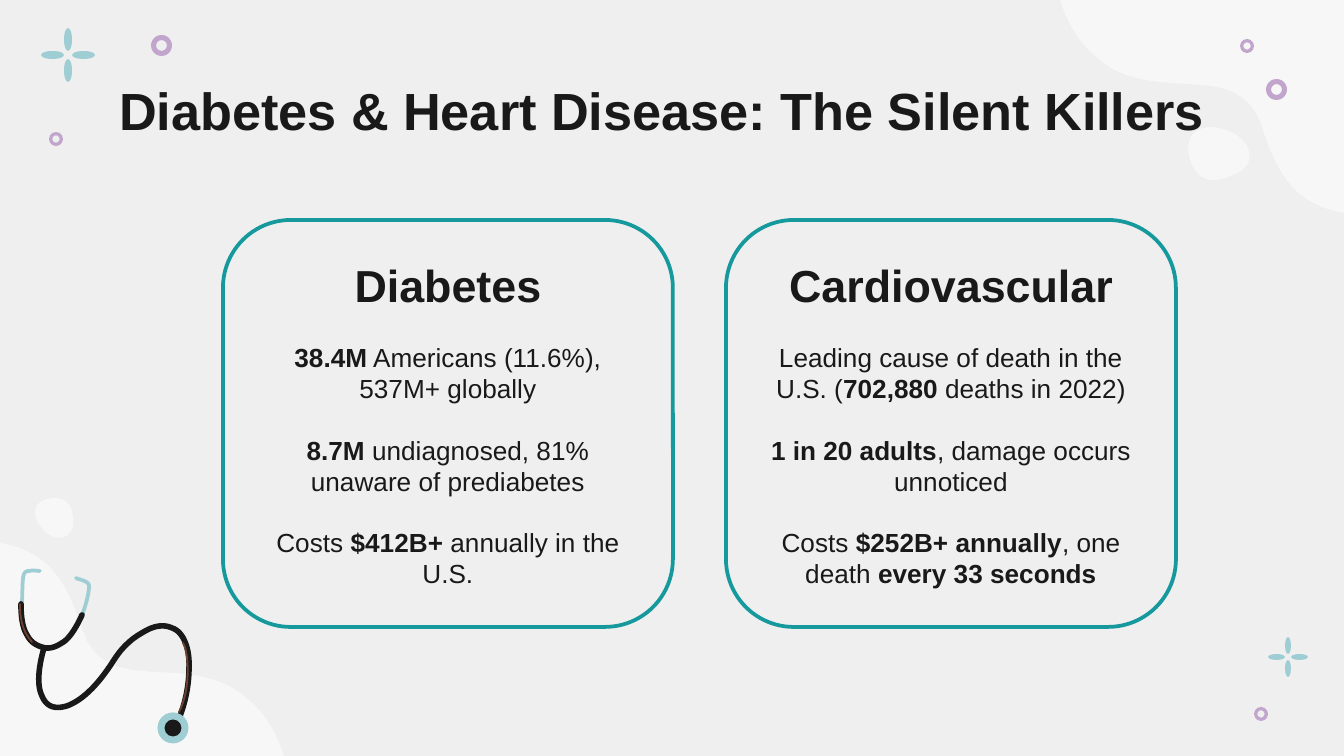
"""Build a slide on diabetes and heart disease with two outlined fact cards."""
from lxml.etree import SubElement
from pptx import Presentation
from pptx.dml.color import RGBColor
from pptx.enum.shapes import MSO_SHAPE
from pptx.enum.text import MSO_ANCHOR, MSO_AUTO_SIZE, PP_ALIGN
from pptx.oxml.ns import qn
from pptx.util import Pt

PX = 914400 / 134.4
WIDTH, HEIGHT = 1344, 756
STEPS = 16
GREY = RGBColor(0xEF, 0xEF, 0xEF)
WHITE = RGBColor(0xFF, 0xFF, 0xFF)
INK = RGBColor(0x19, 0x19, 0x19)
TEAL = RGBColor(0x15, 0x99, 0x9D)
AQUA = RGBColor(0x9E, 0xCD, 0xD3)
LILAC = RGBColor(0xC1, 0xA5, 0xCD)
BROWN = RGBColor(0x6D, 0x41, 0x31)

deck = Presentation()
deck.slide_width, deck.slide_height = round(WIDTH * PX), round(HEIGHT * PX)
page = deck.slides.add_slide(deck.slide_layouts[5])
page.background.fill.solid()
page.background.fill.fore_color.rgb = GREY
shapes = page.shapes


def add_preset(kind, left, top, width, height, fill):
    """Add a preset shape with a plain fill, no line and no shadow."""
    shape = shapes.add_shape(kind, *(round(n * PX) for n in (left, top, width, height)))
    shape.shadow.inherit = False
    shape.fill.solid()
    shape.fill.fore_color.rgb = fill
    shape.line.fill.background()
    return shape


def add_curve(start, curves, color, width=None):
    """Trace cubic curves as a round-capped stroke, or a half-clear area without width."""
    points = [start]
    for x1, y1, x2, y2, x3, y3 in curves:
        x0, y0 = points[-1]
        for step in range(1, STEPS + 1):
            t = step / STEPS
            a, b, c, d = (1 - t) ** 3, 3 * t * (1 - t) ** 2, 3 * t * t * (1 - t), t ** 3
            points.append((a * x0 + b * x1 + c * x2 + d * x3, a * y0 + b * y1 + c * y2 + d * y3))
    points = [(round(x * PX), round(y * PX)) for x, y in points]
    builder = shapes.build_freeform(*points[0], scale=1.0)
    builder.add_line_segments(points[1:], close=width is None)
    shape = builder.convert_to_shape()
    shape.shadow.inherit = False
    if width is None:
        shape.fill.solid()
        shape.fill.fore_color.rgb = color
        tint = shape.fill._xPr.find(qn("a:solidFill"))[0]
        SubElement(tint, qn("a:alpha"), val="52000")
        shape.line.fill.background()
    else:
        shape.fill.background()
        shape.line.color.rgb = color
        shape.line.width = Pt(width)
        shape.line._get_or_add_ln().set("cap", "rnd")


corner = [
    (47, 551, 66, 579, 82, 629),
    (105, 703, 194, 645, 251, 702),
    (267, 716, 277, 735, 284, 756),
    (189, 756, 95, 756, 0, 756),
]
opposite = [tuple((HEIGHT if i % 2 else WIDTH) - n for i, n in enumerate(curve)) for curve in corner]
blobs = [
    ((0, 543), corner),
    ((WIDTH, HEIGHT - 543), opposite),
    ((73, 526), [(74, 512, 71, 494, 48, 499), (27, 504, 35, 524, 48, 534), (62, 543, 71, 535, 73, 526)]),
    ((1241, 171), [(1223, 181, 1198, 190, 1189, 156), (1183, 124, 1214, 122, 1235, 134),
                   (1255, 147, 1252, 164, 1241, 171)]),
]
for start, curves in blobs:
    add_curve(start, curves, WHITE)

for x, y, long, short in [(68, 55, 23, 8), (1288, 657, 17, 6)]:
    reach = long + short / 2
    for left, top, width, height in [
        (x - short / 2, y - reach, short, long),
        (x + short / 2, y - short / 2, long, short),
        (x - short / 2, y + short / 2, short, long),
        (x - reach, y - short / 2, long, short),
    ]:
        add_preset(MSO_SHAPE.OVAL, left, top, width, height, AQUA)

for left, top, size in [(1266, 79, 21), (1254, 707, 14), (1240, 39, 14), (151, 35, 21), (49, 132, 14)]:
    ring = add_preset(MSO_SHAPE.DONUT, left, top, size, size, LILAC)
    ring.adjustments[0] = 0.24

title = shapes.title
shapes._spTree.append(title._element)
title.left, title.top, title.width, title.height = (round(n * PX) for n in (106, 51, 1133, 103))
frame = title.text_frame
frame_format = {
    "word_wrap": True, "auto_size": MSO_AUTO_SIZE.NONE, "vertical_anchor": MSO_ANCHOR.BOTTOM,
    "margin_left": round(13 * PX), "margin_right": round(13 * PX),
    "margin_top": round(13 * PX), "margin_bottom": round(13 * PX),
}
for name, value in frame_format.items():
    setattr(frame, name, value)
para = frame.paragraphs[0]
para.alignment = PP_ALIGN.LEFT
span = para.add_run()
span.text = "Diabetes & Heart Disease: The Silent Killers"
for name, value in {"name": "Arial", "size": Pt(28), "bold": True}.items():
    setattr(span.font, name, value)
span.font.color.rgb = INK

stethoscope = [
    ((40, 571), [(36, 571, 33, 570, 30, 571), (22, 571, 23, 575, 22, 604)], AQUA, 2),
    ((76, 578), [(80, 580, 90, 581, 89, 587), (89, 594, 85, 608, 82, 615)], AQUA, 2),
    ((21, 604), [(21, 615, 22, 627, 27, 635), (31, 643, 37, 646, 45, 648),
                 (53, 649, 59, 645, 65, 641), (72, 635, 78, 624, 82, 615)], INK, 3),
    ((44, 648), [(38, 669, 37, 686, 42, 696), (46, 706, 54, 710, 67, 706),
                 (81, 701, 97, 687, 114, 660), (123, 646, 133, 638, 142, 633),
                 (153, 626, 163, 624, 172, 628), (184, 632, 190, 650, 189, 668),
                 (189, 686, 185, 705, 178, 721)], INK, 3),
    ((183, 643), [(189, 652, 191, 690, 179, 712)], BROWN, 1),
    ((20, 604), [(20, 620, 23, 632, 32, 642)], BROWN, 1),
]
for start, curves, color, width in stethoscope:
    add_curve(start, curves, color, width)
for size, color in [(31, AQUA), (17, INK)]:
    add_preset(MSO_SHAPE.OVAL, 173 - size / 2, 728 - size / 2, size, size, color)

cards = [
    (223, [
        [("Diabetes", True)],
        [("38.4M", True), (" Americans (11.6%), 537M+ globally", False)],
        [("8.7M", True), (" undiagnosed, 81% unaware of prediabetes", False)],
        [("Costs ", False), ("$412B+ ", True), ("annually in the U.S.", False)],
    ]),
    (726, [
        [("Cardiovascular", True)],
        [("Leading cause of death in the U.S. (", False), ("702,880", True), (" deaths in 2022)", False)],
        [("1 in 20 adults", True), (", damage occurs unnoticed", False)],
        [("Costs ", False), ("$252B+ annually", True), (", one death ", False), ("every 33 seconds", True)],
    ]),
]
for left, lines in cards:
    card = add_preset(MSO_SHAPE.ROUNDED_RECTANGLE, left, 220, 450, 407, GREY)
    card.line.color.rgb = TEAL
    card.line.width = Pt(2)
    frame = card.text_frame
    frame.word_wrap = True
    frame.vertical_anchor = MSO_ANCHOR.MIDDLE
    for row, line in enumerate(lines):
        para = frame.add_paragraph() if row else frame.paragraphs[0]
        para.alignment = PP_ALIGN.CENTER
        para.space_before = Pt(16 if row else 0)
        for text, bold in line:
            span = para.add_run()
            span.text = text
            for name, value in {"name": "Arial", "size": Pt(14 if row else 24), "bold": bold}.items():
                setattr(span.font, name, value)
            span.font.color.rgb = INK

deck.save("out.pptx")
